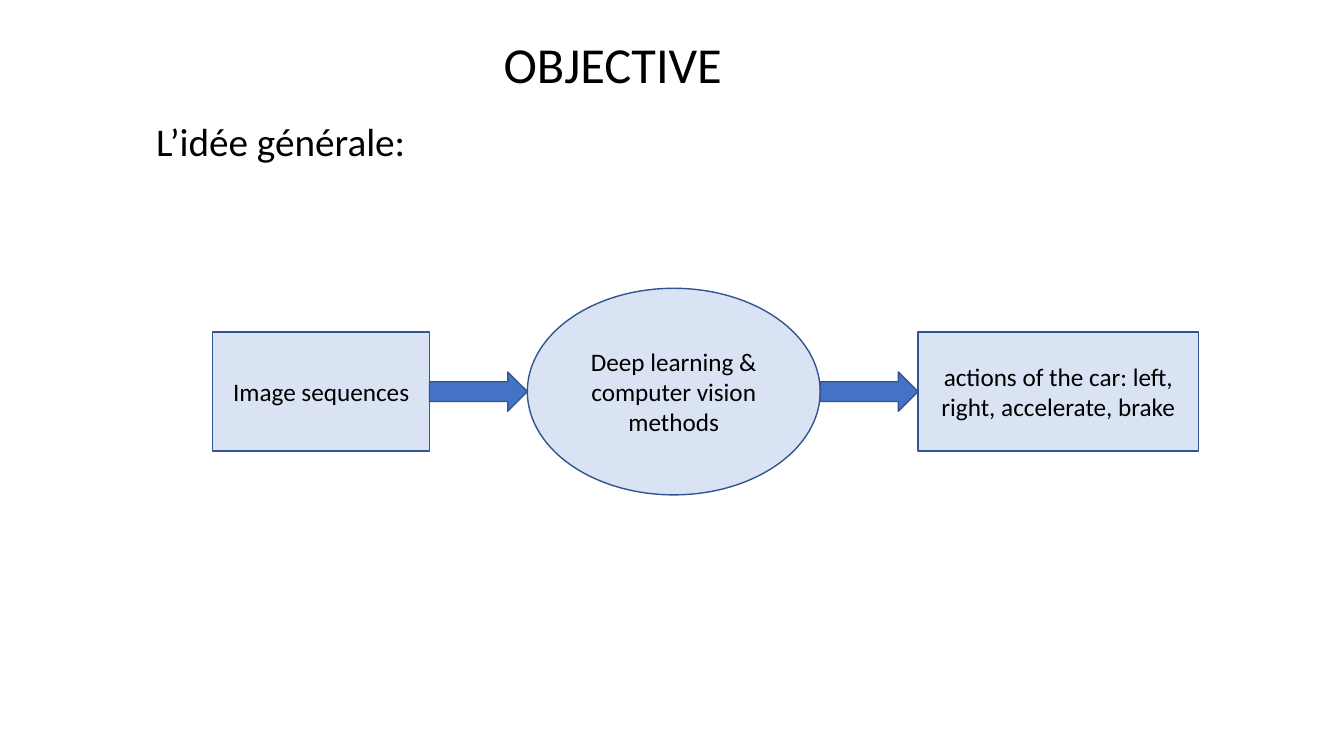
from dataclasses import dataclass

from pptx import Presentation
from pptx.dml.color import RGBColor
from pptx.enum.shapes import MSO_SHAPE
from pptx.enum.text import MSO_ANCHOR, MSO_AUTO_SIZE, PP_ALIGN
from pptx.shapes.autoshape import Shape
from pptx.slide import Slide
from pptx.text.text import TextFrame
from pptx.util import Inches, Pt

RECTANGLE = MSO_SHAPE.RECTANGLE
OVAL = MSO_SHAPE.OVAL
RIGHT_ARROW = MSO_SHAPE.RIGHT_ARROW
TOP, MIDDLE, BOTTOM = MSO_ANCHOR.TOP, MSO_ANCHOR.MIDDLE, MSO_ANCHOR.BOTTOM
LEFT, CENTER = PP_ALIGN.LEFT, PP_ALIGN.CENTER
NO_AUTOFIT = MSO_AUTO_SIZE.NONE

FONT = "Calibri"
COLORS = {"text": "000000", "stage": "DAE3F3", "arrow": "4472C4", "outline": "325491"}
SLIDE_W, SLIDE_H = Inches(13.33), Inches(7.5)
TITLE_ONLY = 5

# Flow geometry, in percent of the slide's width or height
FLOW_LEFT = 15.83
FLOW_AXIS = 51.8
ARROW_W, ARROW_H = 7.28, 5.2


@dataclass(frozen=True)
class Area:
    """A box in percent of the slide's size."""
    left: float
    top: float
    width: float
    height: float

    def place(self) -> tuple[int, int, int, int]:
        return (int(SLIDE_W * self.left / 100), int(SLIDE_H * self.top / 100),
                int(SLIDE_W * self.width / 100), int(SLIDE_H * self.height / 100))


@dataclass(frozen=True)
class Stage:
    label: str
    outline: MSO_SHAPE
    width: float
    height: float


STAGES = [
    Stage("Image sequences", RECTANGLE, 16.13, 15.73),
    Stage("Deep learning & computer vision methods", OVAL, 21.79, 27.33),
    Stage("actions of the car: left, right, accelerate, brake", RECTANGLE, 20.86, 15.73),
]


def write(frame: TextFrame, text: str, size: int, align: PP_ALIGN,
          anchor: MSO_ANCHOR, spacing: float = 1.0) -> None:
    frame.text = text
    frame.word_wrap = True
    frame.auto_size = NO_AUTOFIT
    frame.vertical_anchor = anchor
    paragraph = frame.paragraphs[0]
    paragraph.alignment = align
    paragraph.line_spacing = spacing
    font = paragraph.runs[0].font
    font.name, font.size = FONT, Pt(size)
    font.color.rgb = RGBColor.from_string(COLORS["text"])


def draw_on_axis(slide: Slide, kind: MSO_SHAPE, left: float, width: float,
                 height: float, fill: str) -> Shape:
    area = Area(left, FLOW_AXIS - height / 2, width, height)
    shape = slide.shapes.add_shape(kind, *area.place())
    shape.shadow.inherit = False
    shape.fill.solid()
    shape.fill.fore_color.rgb = RGBColor.from_string(COLORS[fill])
    shape.line.color.rgb = RGBColor.from_string(COLORS["outline"])
    shape.line.width = Pt(1)
    return shape


def draw_flow(slide: Slide) -> None:
    left = FLOW_LEFT
    for number, stage in enumerate(STAGES):
        # An arrow leads into every stage but the first
        if number:
            draw_on_axis(slide, RIGHT_ARROW, left, ARROW_W, ARROW_H, "arrow")
            left += ARROW_W
        step = draw_on_axis(slide, stage.outline, left, stage.width, stage.height, "stage")
        write(step.text_frame, stage.label, 18, CENTER, MIDDLE)
        left += stage.width


def main() -> None:
    deck = Presentation()
    deck.slide_width, deck.slide_height = SLIDE_W, SLIDE_H
    slide = deck.slides.add_slide(deck.slide_layouts[TITLE_ONLY])

    # Heading
    heading = slide.shapes.title
    heading.left, heading.top, heading.width, heading.height = Area(8.1, 6.27, 75, 6.93).place()
    write(heading.text_frame, "OBJECTIVE", 36, CENTER, BOTTOM, 0.9)

    # Introduction
    intro = slide.shapes.add_textbox(*Area(10.88, 15.6, 82.07, 66.27).place())
    write(intro.text_frame, "L’idée générale:", 28, LEFT, TOP, 0.9)
    intro.text_frame.paragraphs[0].space_before = Pt(10)

    # Processing chain
    draw_flow(slide)
    deck.save("out.pptx")


if __name__ == "__main__":
    main()
